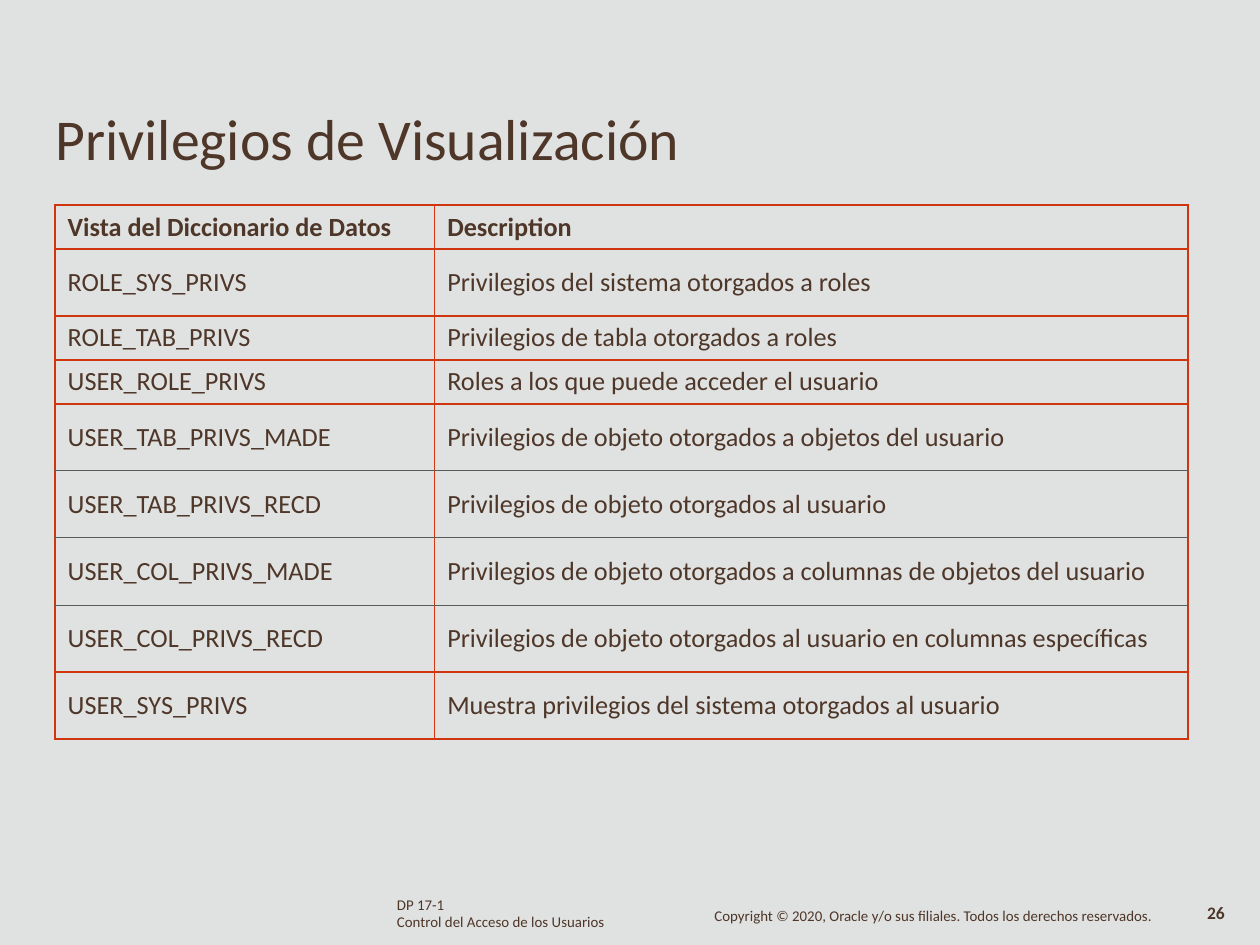
import pptx
import pptx.util
import pptx.dml.color
import pptx.enum.text
import pptx.oxml
import pptx.oxml.ns
from lxml import etree

Pt = pptx.util.Pt
ANCHOR = pptx.enum.text.MSO_ANCHOR
FONT = "Calibri"
COLORS = {"background": "E0E2E1", "text": "4E3629", "border": "D1350F", "rule": "5B5B5B"}

COLUMNS = [216.9, 430.4]
SHORT, TALL = 25.1, 38.3
ROWS = [
    (SHORT, "Vista del Diccionario de Datos", "Description"),
    (TALL, "ROLE_SYS_PRIVS", "Privilegios del sistema otorgados a roles"),
    (SHORT, "ROLE_TAB_PRIVS", "Privilegios de tabla otorgados a roles"),
    (SHORT, "USER_ROLE_PRIVS", "Roles a los que puede acceder el usuario"),
    (TALL, "USER_TAB_PRIVS_MADE", "Privilegios de objeto otorgados a objetos del usuario"),
    (TALL, "USER_TAB_PRIVS_RECD", "Privilegios de objeto otorgados al usuario"),
    (TALL, "USER_COL_PRIVS_MADE", "Privilegios de objeto otorgados a columnas de objetos del usuario"),
    (TALL, "USER_COL_PRIVS_RECD", "Privilegios de objeto otorgados al usuario en columnas específicas"),
    (TALL, "USER_SYS_PRIVS", "Muestra privilegios del sistema otorgados al usuario"),
]
THIN_RULES_BELOW = {4, 5, 6}


def rgb(name):
    return pptx.dml.color.RGBColor.from_string(COLORS[name])


def write(tf, text, size, bold=False, spacing=(), inset=0, anchor=ANCHOR.TOP, wrap=False):
    tf.word_wrap = wrap
    tf.vertical_anchor = anchor
    tf.margin_left = Pt(inset)
    tf.margin_top = tf.margin_right = tf.margin_bottom = 0
    for i, line in enumerate(text.split("\n")):
        p = tf.paragraphs[0] if i == 0 else tf.add_paragraph()
        p.alignment = pptx.enum.text.PP_ALIGN.LEFT
        p.space_before = Pt(0)
        if spacing:
            p.line_spacing = Pt(spacing[i])
        r = p.add_run()
        r.text = line
        r.font.name = FONT
        r.font.size = Pt(size)
        r.font.bold = bold
        r.font.color.rgb = rgb("text")


def add_title(s, x, y, w, h):
    sp = s.shapes.title
    sp.left, sp.top, sp.width, sp.height = Pt(x), Pt(y), Pt(w), Pt(h)
    write(sp.text_frame, "Privilegios de Visualización", 33, inset=0.7, wrap=True)
    sp.text_frame.auto_size = pptx.enum.text.MSO_AUTO_SIZE.NONE


def set_border(cell, side, color, width):
    ln = etree.SubElement(cell._tc.get_or_add_tcPr(), pptx.oxml.ns.qn("a:ln" + side), w=str(Pt(width)))
    fill = etree.SubElement(ln, pptx.oxml.ns.qn("a:solidFill"))
    etree.SubElement(fill, pptx.oxml.ns.qn("a:srgbClr"), val=COLORS[color])


def row_rule(index):
    return ("rule", 0.5) if index in THIN_RULES_BELOW else ("border", 1)


def add_privileges(s, x, y):
    height = sum(row[0] for row in ROWS)
    frame = s.shapes.add_table(len(ROWS), len(COLUMNS), Pt(x), Pt(y), Pt(sum(COLUMNS)), Pt(height))
    table = frame.table
    table.first_row = table.horz_banding = False
    for column, width in zip(table.columns, COLUMNS):
        column.width = Pt(width)
    for i, (row_height, *texts) in enumerate(ROWS):
        table.rows[i].height = Pt(row_height)
        for j, text in enumerate(texts):
            cell = table.cell(i, j)
            write(cell.text_frame, text, 15, bold=i == 0, wrap=True)
            cell.margin_left = Pt(7.2)
            cell.margin_top = cell.margin_right = cell.margin_bottom = 0
            cell.vertical_anchor = ANCHOR.MIDDLE
            set_border(cell, "L", "border", 1)
            set_border(cell, "R", "border", 1)
            set_border(cell, "T", *row_rule(i - 1))
            set_border(cell, "B", *row_rule(i))
            cell.fill.background()


def add_label(s, text, x, y, w, h, **style):
    sp = s.shapes.add_textbox(Pt(x), Pt(y), Pt(w), Pt(h))
    write(sp.text_frame, text, inset=0.7, **style)


def add_footer(s, x, y):
    add_label(s, "DP 17-1\nControl del Acceso de los Usuarios", x, y, 121, 19.4, size=8.5, spacing=(8.6, 9.7))
    add_label(s, "Copyright © 2020, Oracle y/o sus filiales. Todos los derechos reservados.",
              x + 181.4, y + 5.8, 253.4, 10.8, size=8.5, spacing=(9.1,))
    add_label(s, "26", x + 463, y + 3.6, 12.2, 12.2, size=10, bold=True, spacing=(10.4,))


def main():
    prs = pptx.Presentation()
    prs.slide_width, prs.slide_height = Pt(720), Pt(540)
    s = prs.slides.add_slide(prs.slide_layouts[5])
    s.background.fill.solid()
    s.background.fill.fore_color.rgb = rgb("background")
    add_title(s, 31, 59, 513.4, 41.8)
    add_privileges(s, 31.5, 117.2)
    add_footer(s, 226.1, 513.4)
    prs.save("out.pptx")


if __name__ == "__main__":
    main()
